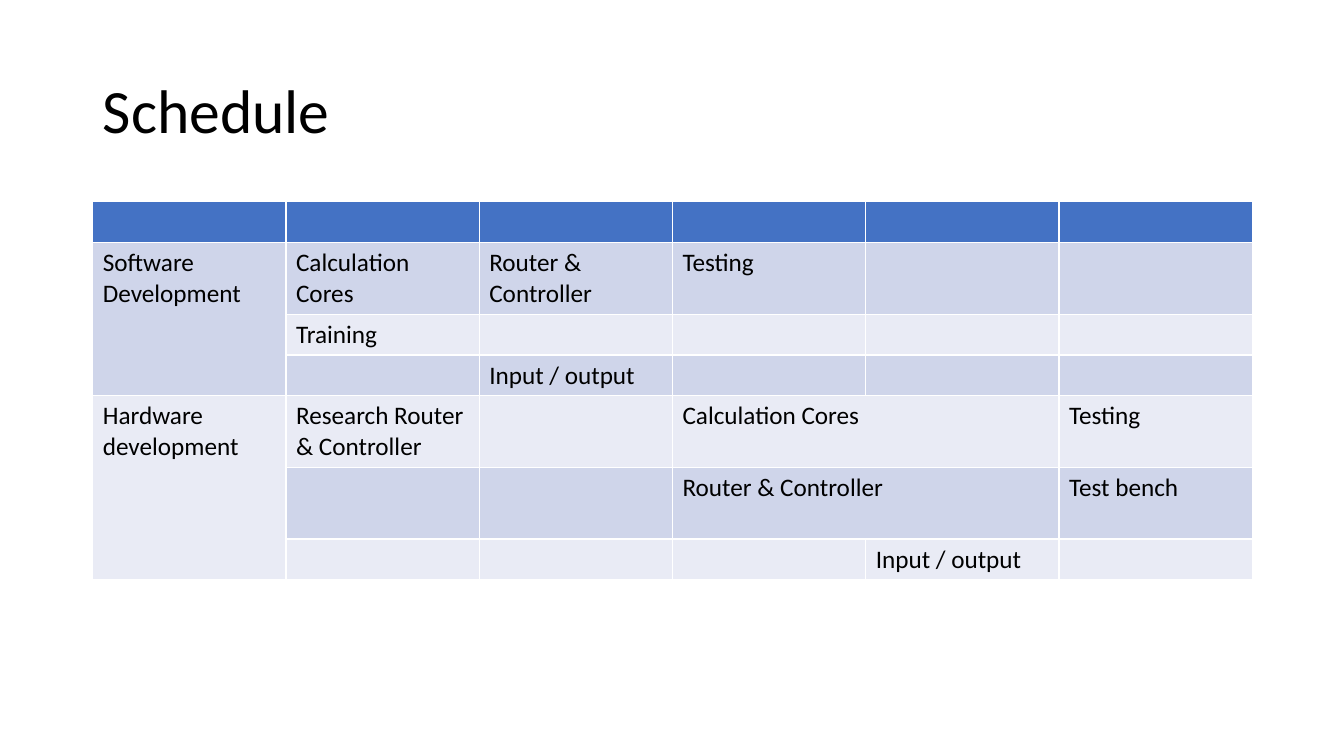
from pptx import Presentation
from pptx.dml.color import RGBColor
from pptx.enum.text import MSO_ANCHOR, PP_ALIGN
from pptx.util import Inches, Pt

COLUMN_COUNT = 6
COLUMN_WIDTH = 11.5 / COLUMN_COUNT
ROW_HEIGHTS = [0.4, 0.71, 0.4, 0.4, 0.71, 0.71, 0.4]
HEADER_FILL = "4472C4"
BAND_FILLS = ["E9EBF5", "CFD5EA"]

# (row, column): (text, rows spanned, columns spanned)
TASKS = {
    (1, 0): ("Software Development", 3, 1),
    (1, 1): ("Calculation Cores", 1, 1),
    (1, 2): ("Router & Controller", 1, 1),
    (1, 3): ("Testing", 1, 1),
    (2, 1): ("Training", 1, 1),
    (3, 2): ("Input / output", 1, 1),
    (4, 0): ("Hardware development", 3, 1),
    (4, 1): ("Research Router & Controller", 1, 1),
    (4, 3): ("Calculation Cores", 1, 2),
    (4, 5): ("Testing", 1, 1),
    (5, 3): ("Router & Controller", 1, 2),
    (5, 5): ("Test bench", 1, 1),
    (6, 4): ("Input / output", 1, 1),
}


def color(hex_code):
    return RGBColor.from_string(hex_code)


class ScheduleSlide:
    font = "Calibri"
    text_color = "000000"

    def __init__(self, presentation):
        self.slide = presentation.slides.add_slide(presentation.slide_layouts[5])

    def add_run(self, paragraph, text, size):
        run = paragraph.add_run()
        run.text = text
        run.font.name = self.font
        run.font.size = Pt(size)
        run.font.color.rgb = color(self.text_color)

    def add_title(self, text, left, top, width, height):
        title = self.slide.shapes.title
        title.left, title.top = Inches(left), Inches(top)
        title.width, title.height = Inches(width), Inches(height)
        title.text_frame.vertical_anchor = MSO_ANCHOR.MIDDLE
        heading = title.text_frame.paragraphs[0]
        heading.alignment = PP_ALIGN.LEFT
        heading.line_spacing = 0.9
        self.add_run(heading, text, 44)

    def add_schedule(self, left, top):
        """Add the banded table; its default style supplies the white borders."""
        schedule = self.slide.shapes.add_table(
            len(ROW_HEIGHTS), COLUMN_COUNT, Inches(left), Inches(top),
            Inches(COLUMN_WIDTH * COLUMN_COUNT), Inches(sum(ROW_HEIGHTS))).table
        for column in schedule.columns:
            column.width = Inches(COLUMN_WIDTH)
        for row_index, height in enumerate(ROW_HEIGHTS):
            schedule.rows[row_index].height = Inches(height)
            band = BAND_FILLS[row_index % 2] if row_index else HEADER_FILL
            for cell in schedule.rows[row_index].cells:
                cell.fill.solid()
                cell.fill.fore_color.rgb = color(band)
        for (row, column), (task, row_span, column_span) in TASKS.items():
            cell = schedule.cell(row, column)
            if row_span * column_span > 1:
                cell.merge(schedule.cell(row + row_span - 1, column + column_span - 1))
            self.add_run(cell.text_frame.paragraphs[0], task, 18)


def main():
    presentation = Presentation()
    presentation.slide_width = Inches(13.33)
    presentation.slide_height = Inches(7.5)
    slide = ScheduleSlide(presentation)
    slide.add_title("Schedule", 0.92, 0.4, 11.5, 1.45)
    slide.add_schedule(0.92, 2)
    presentation.save("out.pptx")


if __name__ == "__main__":
    main()
